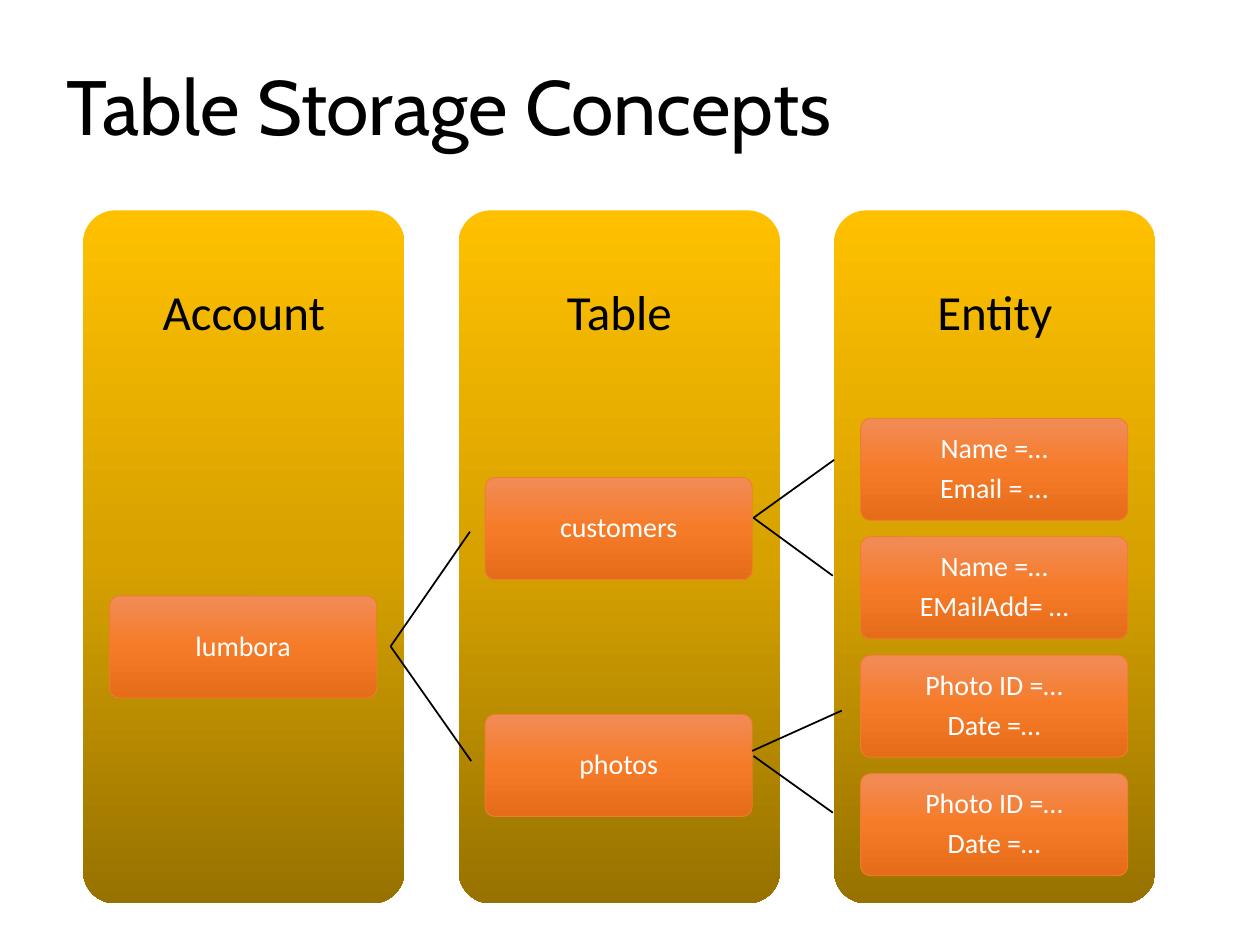
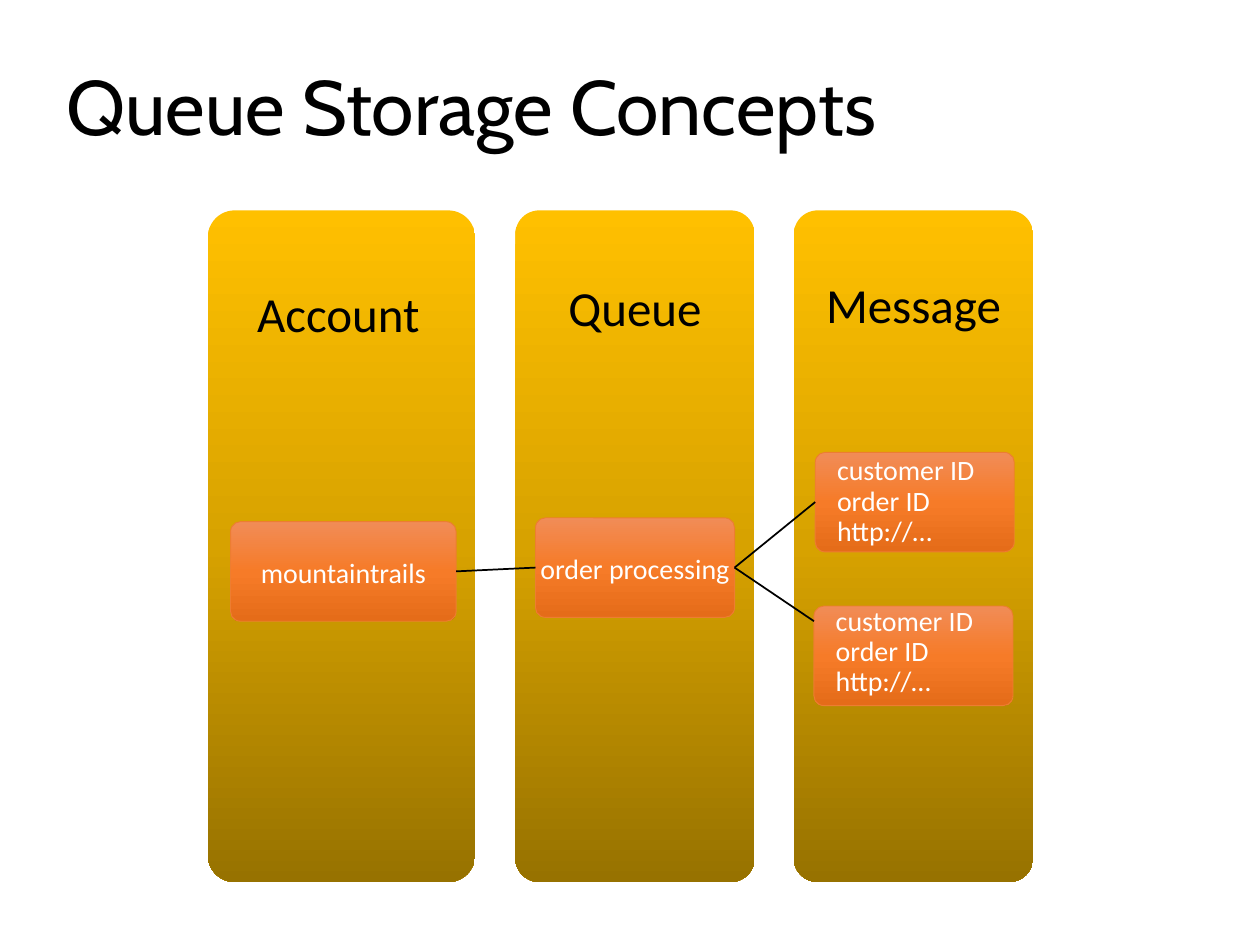
from copy import deepcopy
from pptx import Presentation
from pptx.dml.color import RGBColor
from pptx.enum.shapes import MSO_CONNECTOR as Connector, MSO_SHAPE as Shape
from pptx.enum.text import MSO_ANCHOR as Anchor, PP_ALIGN as Align
from pptx.oxml.ns import qn
from pptx.oxml.xmlchemy import OxmlElement
from pptx.util import Inches, Pt

# Shared look
BLACK, WHITE, CARD_LINE = "000000", "FFFFFF", "ED7D31"
COLUMN_GRADIENT = ("FFC000", "D7A200", "977200")  # top to bottom
CARD_GRADIENT = ("F18C57", "F67B28", "E56C19")
TITLE_FONT, BODY_FONT = "Cabin", "Calibri"


def rgb(value):
    return RGBColor.from_string(value)


def write(box, text, font, size, color, align, anchor, gap=0.0):
    frame = box.text_frame
    frame.word_wrap = True
    frame.vertical_anchor = anchor
    frame.text = text
    for para in frame.paragraphs:
        para.alignment = align
        para.line_spacing = 0.9
        para.space_after = Pt(gap)
        para.font.name = font
        para.font.size = Pt(size)
        para.font.color.rgb = rgb(color)


# Table slide: three equal columns, cards on a grid of rows
column_lefts = [0.66 + 2.98 * i for i in range(3)]
table_columns = [(left, 1.67, 2.55, 5.5) for left in column_lefts]
table_headings = [
    (name, left, 1.67, 2.55, 1.65)
    for name, left in zip(("Account", "Table", "Entity"), column_lefts)
]
table_cards = [  # text, left, top, width, height, align, text shift
    (text, column_lefts[column] + 0.21, 3.32 + 0.94 * row, 2.12, 0.81, Align.CENTER, 0)
    for text, column, row in (
        ("lumbora", 0, 1.5),
        ("customers", 1, 0.5),
        ("photos", 1, 2.5),
        ("Name =…\nEmail = …", 2, 0),
        ("Name =…\nEMailAdd= …", 2, 1),
        ("Photo ID =…\nDate =…", 2, 2),
        ("Photo ID =…\nDate =…", 2, 3),
    )
]
table_links = [  # start x, y, end x, y, card at start, card at end
    (3.1, 5.13, 3.73, 4.22, None, None),
    (3.1, 5.13, 3.74, 6.04, None, None),
    (5.98, 4.11, 6.62, 3.65, None, None),
    (5.98, 4.11, 6.61, 4.57, None, None),
    (5.97, 5.96, 6.68, 5.64, None, None),
    (5.98, 6.0, 6.61, 6.45, None, None),
]

# Queue slide: columns and cards of differing widths
queue_columns = [
    (left, 1.67, width, 5.33) for left, width in ((1.65, 2.12), (4.09, 1.9), (6.3, 1.9))
]
queue_headings = [
    ("Account", 1.76, 2.19, 1.85, 0.65),
    ("Queue", 4.09, 2.15, 1.9, 0.63),
    ("Message", 6.3, 2.13, 1.9, 0.63),
]
message = "customer ID\vorder ID\vhttp://…"
queue_cards = [
    ("mountaintrails", 1.83, 4.14, 1.79, 0.79, Align.CENTER, 0.05),
    ("order processing", 4.25, 4.11, 1.58, 0.79, Align.CENTER, 0.05),
    (message, 6.47, 3.59, 1.58, 0.79, Align.LEFT, 0),
    (message, 6.46, 4.81, 1.58, 0.79, Align.LEFT, -0.05),
]
queue_links = [
    (3.62, 4.52, 4.25, 4.52, 0, 1),
    (5.83, 4.47, 6.46, 4.02, 1, 2),
    (5.83, 4.47, 6.46, 4.93, 1, None),
]

slides = [
    ("Table Storage Concepts", table_columns, table_headings, table_cards, table_links),
    ("Queue Storage Concepts", queue_columns, queue_headings, queue_cards, queue_links),
]

deck = Presentation()
deck.slide_width, deck.slide_height = Inches(10), Inches(7.5)

for title, columns, headings, cards, links in slides:
    page = deck.slides.add_slide(deck.slide_layouts[6])

    # Title
    box = page.shapes.add_textbox(Inches(0.43), Inches(0.5), Inches(9.15), Inches(1.45))
    write(box, title, TITLE_FONT, 44, BLACK, Align.LEFT, Anchor.TOP)

    # Rounded columns, then the cards on them
    panels = [(place, COLUMN_GRADIENT) for place in columns]
    panels += [(card[1:5], CARD_GRADIENT) for card in cards]
    panel_shapes = []
    for place, gradient in panels:
        panel = page.shapes.add_shape(Shape.ROUNDED_RECTANGLE, *map(Inches, place))
        panel.adjustments[0] = 0.1
        panel.shadow.inherit = False
        panel.fill.gradient()
        panel.fill.gradient_angle = 270
        stops = panel._element.spPr.find(qn("a:gradFill")).find(qn("a:gsLst"))
        stops.insert(1, deepcopy(stops[0]))
        for i, stop in enumerate(panel.fill.gradient_stops):
            stop.position = i / 2
            stop.color.rgb = rgb(gradient[i])
        if gradient == CARD_GRADIENT:
            panel.line.color.rgb = rgb(CARD_LINE)
            panel.line.width = Pt(0.5)
        else:
            panel.line.fill.background()
        panel_shapes.append(panel)

    # Column headings
    for name, *place in headings:
        box = page.shapes.add_textbox(*map(Inches, place))
        write(box, name, BODY_FONT, 28, BLACK, Align.CENTER, Anchor.MIDDLE, 9.8)

    # Card texts
    card_shapes = panel_shapes[len(columns):]
    for card, (text, *_, align, shift) in zip(card_shapes, cards):
        frame = card.text_frame
        frame.margin_left = Inches(0.15 if align == Align.LEFT else 0)
        frame.margin_right = 0
        frame.margin_top = Inches(max(shift, 0))
        frame.margin_bottom = Inches(max(-shift, 0))
        write(card, text, BODY_FONT, 16, WHITE, align, Anchor.MIDDLE, 5.6)

    # Lines between the cards
    for *ends, start_card, end_card in links:
        link = page.shapes.add_connector(Connector.STRAIGHT, *map(Inches, ends))
        link.line.color.rgb = rgb(BLACK)
        link.line.width = Pt(1)
        link._element.spPr.append(OxmlElement("a:effectLst"))
        if start_card is not None:
            link.begin_connect(card_shapes[start_card], 3)
        if end_card is not None:
            link.end_connect(card_shapes[end_card], 1)

deck.save("out.pptx")
